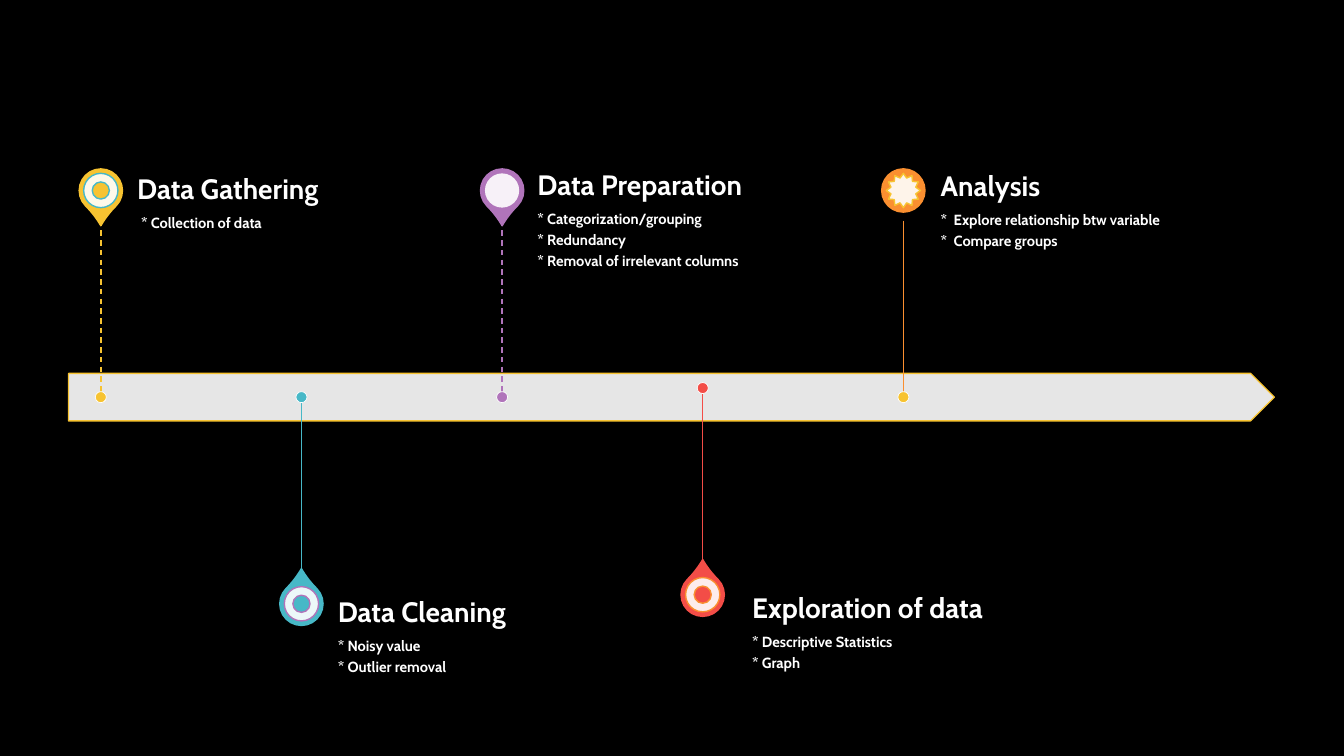
from lxml import etree
from pptx import Presentation
from pptx.dml.color import RGBColor
from pptx.enum.dml import MSO_LINE
from pptx.enum.shapes import MSO_CONNECTOR, MSO_SHAPE
from pptx.enum.text import MSO_ANCHOR, PP_ALIGN
from pptx.oxml.ns import qn
from pptx.util import Inches, Pt

DROP, DISC, DONUT = MSO_SHAPE.TEAR, MSO_SHAPE.OVAL, MSO_SHAPE.DONUT
STAR, ARROW = MSO_SHAPE.STAR_12_POINT, MSO_SHAPE.PENTAGON
STRAIGHT, DASH = MSO_CONNECTOR.STRAIGHT, MSO_LINE.DASH
TOP, LEFT = MSO_ANCHOR.TOP, PP_ALIGN.LEFT

COLORS = {
    "black": "000000", "white": "FFFFFF", "yellow": "F7C331", "teal": "47B8C7",
    "purple": "B074BA", "red": "F34D47", "orange": "FA8F30",
}
FONT = "Cabin"

MILESTONES = [
    dict(title="Data Gathering", items=["* Collection of data"], text_at=(1.36, 1.74),
         indent=0.04, side=-1, color="yellow", pin=DROP, badge=DONUT, rim="teal", dashed=True),
    dict(title="Data Cleaning", items=["* Noisy value", "* Outlier removal"],
         text_at=(3.35, 5.94), side=1, color="teal", pin=DROP, badge=DONUT, rim="purple"),
    dict(title="Data Preparation",
         items=["* Categorization/grouping", "* Redundancy", "* Removal of irrelevant columns"],
         text_at=(5.33, 1.7), side=-1, color="purple", pin=DROP, badge=DISC, dashed=True),
    dict(title="Exploration of data", items=["* Descriptive Statistics", "* Graph"],
         text_at=(7.46, 5.9), side=1, color="red", pin=DROP, badge=DONUT, rim="orange",
         lift=0.09),
    dict(title="Analysis",
         items=["*  Explore relationship btw variable", "*  Compare groups"],
         text_at=(9.33, 1.71), side=-1, color="orange", pin=DISC, badge=STAR, rim="yellow",
         dot="yellow"),
]

AXIS_Y = 3.94
FIRST_X, STEP = 1.0, 1.99
PIN_REACH, STEM_REACH = 2.05, 1.75
PIN_SIZE, BADGE_SIZE, DOT_SIZE = 0.43, 0.34, 0.11
BAR_LEFT, BAR_WIDTH, BAR_HEIGHT = 0.68, 11.96, 0.47
TEXT_WIDTH, TEXT_HEIGHT = 3.32, 0.97


def rgb(name):
    return RGBColor.from_string(COLORS[name])


def add_figure(slide, kind, center, size, fill, line=None, weight=1, opacity=None):
    (x, y), (w, h) = center, size
    figure = slide.shapes.add_shape(
        kind, Inches(x - w / 2), Inches(y - h / 2), Inches(w), Inches(h))
    figure.shadow.inherit = False
    figure.fill.solid()
    figure.fill.fore_color.rgb = rgb(fill)
    if opacity:
        tint = figure.fill._xPr.find(qn("a:solidFill"))[0]
        etree.SubElement(tint, qn("a:alpha"), val=str(opacity * 1000))
    if line:
        figure.line.color.rgb = rgb(line)
        figure.line.width = Pt(weight)
    else:
        figure.line.fill.background()
    return figure


def add_stem(slide, x, start, end, color, dashed):
    stem = slide.shapes.add_connector(
        STRAIGHT, Inches(x), Inches(start), Inches(x), Inches(end))
    stem.line.color.rgb = rgb(color)
    stem.line.width = Pt(1 if dashed else 0.5)
    if dashed:
        stem.line.dash_style = DASH
    etree.SubElement(stem._element.spPr, qn("a:effectLst"))


def write(paragraph, text, size, indent=0):
    paragraph.alignment = LEFT
    paragraph.line_spacing = 0.9
    paragraph.space_after = Pt(0)
    properties = paragraph._p.get_or_add_pPr()
    properties.set("marL", str(Inches(indent)))
    after = properties.find(qn("a:spcAft"))
    after.remove(after[0])
    etree.SubElement(after, qn("a:spcPct"), val="35000")
    run = paragraph.add_run()
    run.text = text
    run.font.size = Pt(size)
    run.font.name = FONT
    run.font.bold = True
    run.font.color.rgb = rgb("white")


def add_caption(slide, title, items, at, indent):
    box = slide.shapes.add_textbox(
        Inches(at[0]), Inches(at[1]), Inches(TEXT_WIDTH), Inches(TEXT_HEIGHT))
    frame = box.text_frame
    frame.word_wrap = True
    frame.vertical_anchor = TOP
    frame.margin_left = frame.margin_top = frame.margin_bottom = 0
    frame.margin_right = Inches(0.14)
    write(frame.paragraphs[0], title, size=20)
    for item in items:
        write(frame.add_paragraph(), item, size=10.5, indent=indent)


def add_milestone(slide, x, step):
    side, color = step["side"], step["color"]
    dot_y = AXIS_Y - step.get("lift", 0)
    pin_y = dot_y + side * PIN_REACH
    pin = add_figure(slide, step["pin"], (x, pin_y), (PIN_SIZE, PIN_SIZE), color, line=color)
    if step["pin"] == DROP:
        pin.adjustments[0] = 1.15
        pin.rotation = 135 if side < 0 else 315
    add_figure(slide, step["badge"], (x, pin_y), (BADGE_SIZE, BADGE_SIZE), "white",
               line=step.get("rim"), opacity=90)
    add_caption(slide, step["title"], step["items"], step["text_at"], step.get("indent", 0))
    ends = sorted((dot_y, dot_y + side * STEM_REACH))
    add_stem(slide, x, *ends, color, step.get("dashed", False))
    add_figure(slide, DISC, (x, dot_y), (DOT_SIZE, DOT_SIZE), step.get("dot", color),
               line="white", weight=0.5)


def main():
    deck = Presentation()
    deck.slide_width, deck.slide_height = Inches(13.33), Inches(7.5)
    slide = deck.slides.add_slide(deck.slide_layouts[6])
    slide.background.fill.solid()
    slide.background.fill.fore_color.rgb = rgb("black")
    add_figure(slide, ARROW, (BAR_LEFT + BAR_WIDTH / 2, AXIS_Y), (BAR_WIDTH, BAR_HEIGHT),
               "white", line="yellow", opacity=90)
    for index, step in enumerate(MILESTONES):
        add_milestone(slide, FIRST_X + index * STEP, step)
    deck.save("out.pptx")


if __name__ == "__main__":
    main()
